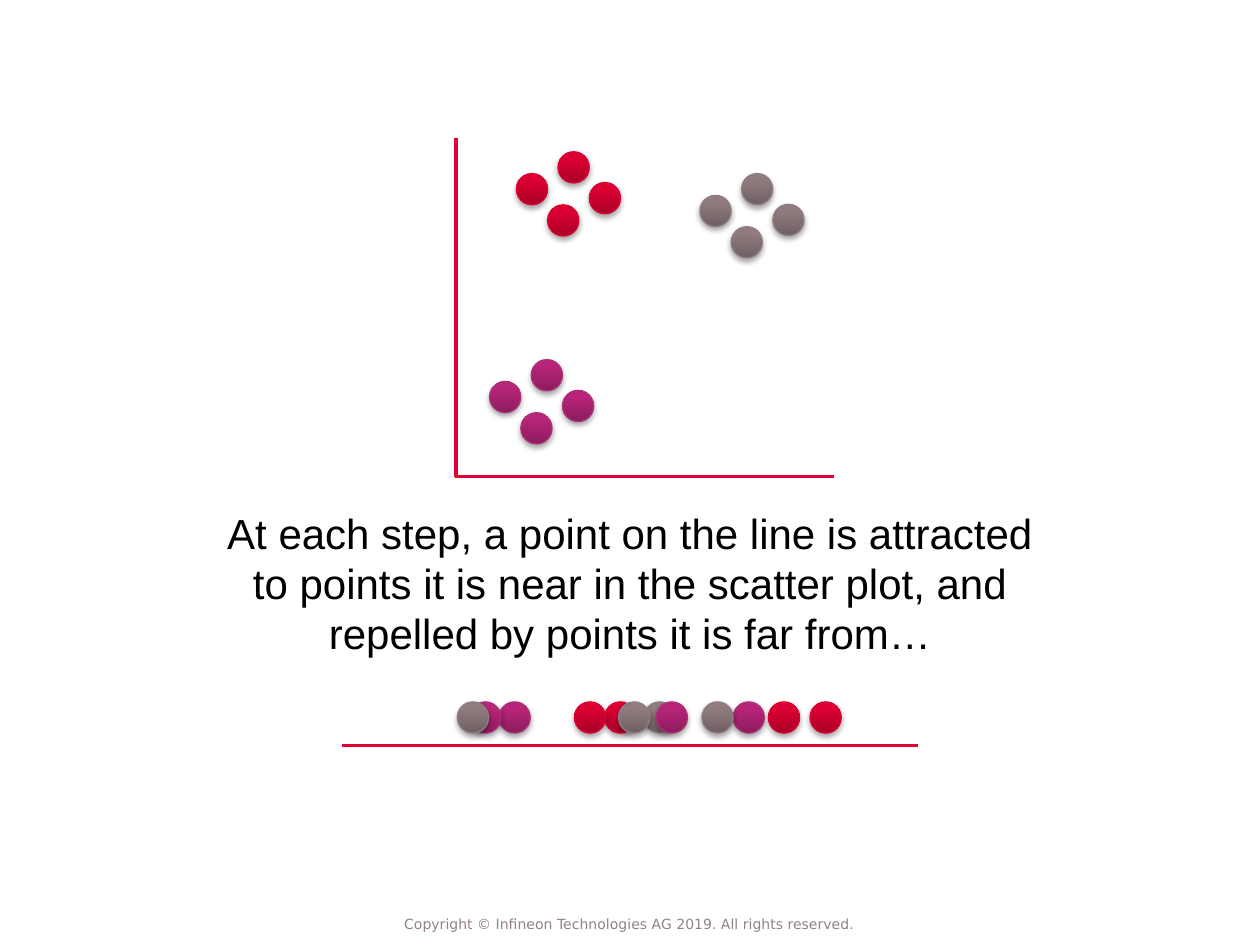
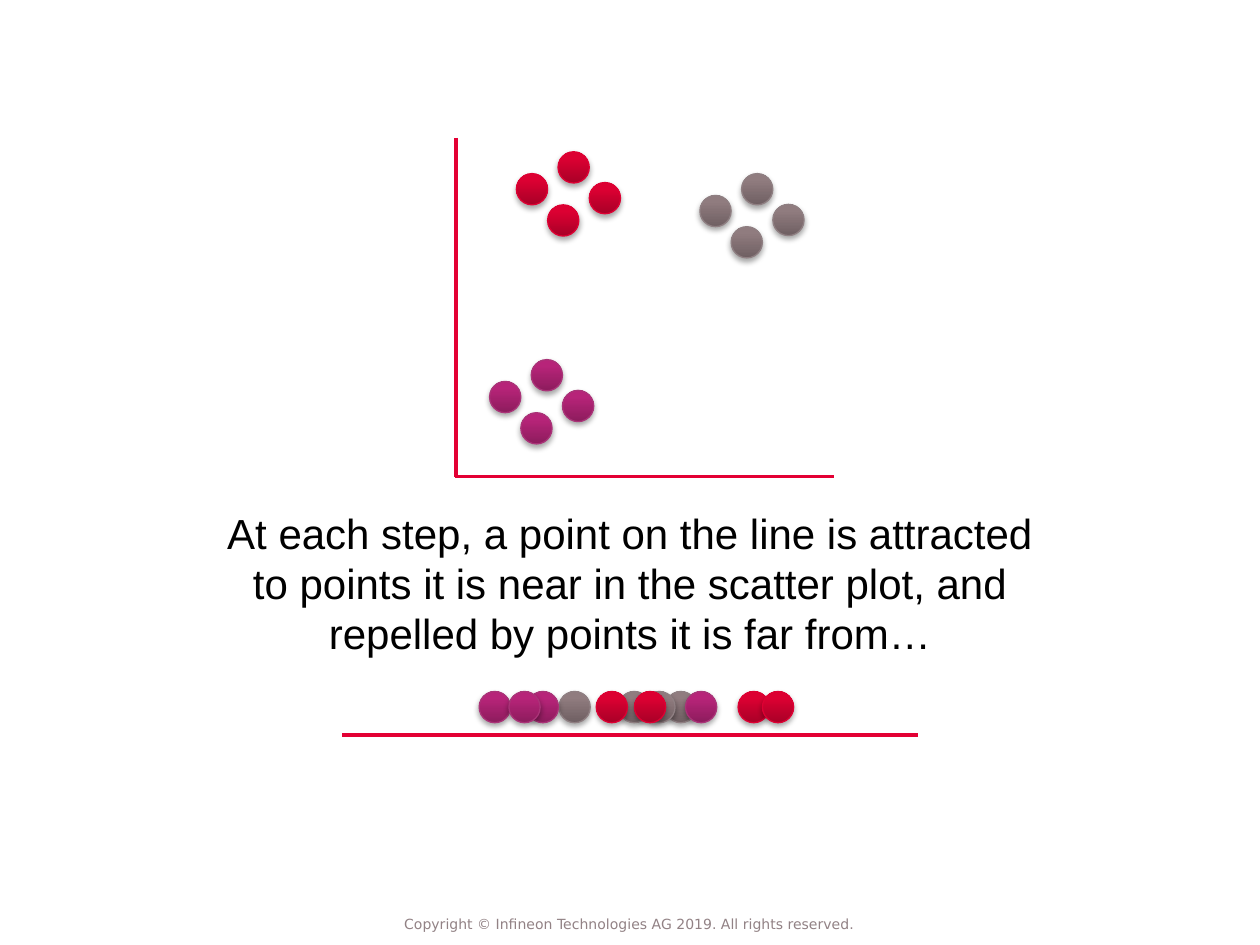
import pptx
import pptx.util
import pptx.oxml
import pptx.oxml.ns
import pptx.dml.color
import pptx.enum.shapes
import pptx.enum.text
from pptx.util import Cm

COLORS = {
    "axis": "E30034",
    "text": "000000",
    "footer": "928285",
}
DOTS = {
    "red": {"stops": ("A90027", "DC0032", "DD0033"), "line": "DE0033"},
    "purple": {"stops": ("8D1C5D", "B72479", "BA227A"), "line": "AA3378"},
    "grey": {"stops": ("6F5F62", "907C7F", "917C80"), "line": "8F7F82"},
}
STOP_POSITIONS = (0, 80000, 100000)
DOT_SIZE = 0.63
DOT_RISE = 0.88
CLUSTER_OFFSETS = ((0, 0.44), (0.84, 0), (0.63, 1.07), (1.47, 0.62))
CLUSTERS = (("red", 10.41, 3.06), ("purple", 9.87, 7.25), ("grey", 14.11, 3.5))
CAPTION = ("At each step, a point on the line is attracted to points it is near "
           "in the scatter plot, and repelled by points it is far from…")
COPYRIGHT = "Copyright © Infineon Technologies AG 2019. All rights reserved."

STEPS = (
    (15.03, (("red", 12.19), ("red", 15.49), ("purple", 10.06), ("purple", 9.47),
             ("red", 16.33), ("purple", 14.78), ("grey", 14.15), ("grey", 12.98),
             ("grey", 12.47), ("grey", 9.22), ("red", 11.58), ("purple", 13.23))),
    (14.82, (("red", 14.88), ("purple", 9.66), ("red", 15.37), ("grey", 13.41),
             ("grey", 12.98), ("grey", 12.47), ("grey", 11.27), ("red", 12.02),
             ("purple", 10.63), ("purple", 10.26), ("red", 12.79), ("purple", 13.82))),
)


def rgb(value):
    return pptx.dml.color.RGBColor.from_string(value)


def drawing(tag, body):
    ns = pptx.oxml.ns.nsdecls("a")
    return pptx.oxml.parse_xml(f"<a:{tag} {ns}>{body}</a:{tag}>")


class Deck:
    def __init__(self):
        self.prs = pptx.Presentation()
        self.prs.slide_width = Cm(25.4)
        self.prs.slide_height = Cm(19.05)
        self.s = None

    def new_slide(self):
        self.s = self.prs.slides.add_slide(self.prs.slide_layouts[6])

    def dot(self, shapes, color, x, y):
        style = DOTS[color]
        sp = shapes.add_shape(pptx.enum.shapes.MSO_SHAPE.OVAL,
                              Cm(x), Cm(y), Cm(DOT_SIZE), Cm(DOT_SIZE))
        sp.line.color.rgb = rgb(style["line"])
        sp.line.width = pptx.util.Pt(0.75)
        stops = "".join(f'<a:gs pos="{pos}"><a:srgbClr val="{value}"/></a:gs>'
                        for pos, value in zip(STOP_POSITIONS, style["stops"]))
        props = sp._element.spPr
        props.insert(2, drawing("gradFill", f"<a:gsLst>{stops}</a:gsLst>"
                                            '<a:lin ang="16200000" scaled="0"/>'))
        props.append(drawing("effectLst",
                             '<a:outerShdw blurRad="40000" dist="23000" dir="5400000" '
                             'rotWithShape="0"><a:srgbClr val="000000">'
                             '<a:alpha val="35000"/></a:srgbClr></a:outerShdw>'))

    def cluster(self, color, x, y):
        group = self.s.shapes.add_group_shape()
        for dx, dy in CLUSTER_OFFSETS:
            self.dot(group.shapes, color, x + dx, y + dy)

    def line(self, x1, y1, x2, y2):
        c = self.s.shapes.add_connector(pptx.enum.shapes.MSO_CONNECTOR.STRAIGHT,
                                        Cm(x1), Cm(y1), Cm(x2), Cm(y2))
        c.line.color.rgb = rgb(COLORS["axis"])
        c.line.width = pptx.util.Pt(2)
        c._element.spPr.append(drawing("effectLst", ""))

    def text(self, text, x, y, w, h, font, size, color):
        tf = self.s.shapes.add_textbox(Cm(x), Cm(y), Cm(w), Cm(h)).text_frame
        tf.word_wrap = True
        p = tf.paragraphs[0]
        p.text = text
        p.alignment = pptx.enum.text.PP_ALIGN.CENTER
        p.font.name = font
        p.font.size = pptx.util.Pt(size)
        p.font.color.rgb = rgb(COLORS[color])
        return tf

    def caption(self):
        tf = self.text(CAPTION, 3.99, 10.1, 17.42, 3.3, "Arial", 24, "text")
        tf.auto_size = pptx.enum.text.MSO_AUTO_SIZE.SHAPE_TO_FIT_TEXT

    def footer(self):
        tf = self.text(COPYRIGHT, 7.69, 18.21, 10, 0.84, "DejaVu Sans", 8, "footer")
        tf.vertical_anchor = pptx.enum.text.MSO_ANCHOR.MIDDLE
        tf.margin_left = tf.margin_right = tf.margin_top = tf.margin_bottom = 0

    def step(self, line_y, row):
        self.new_slide()
        for color, x, y in CLUSTERS:
            self.cluster(color, x, y)
        self.line(16.81, 9.61, 9.17, 9.61)
        self.line(9.19, 2.78, 9.19, 9.61)
        self.line(18.5, line_y, 6.9, line_y)
        for color, x in row:
            self.dot(self.s.shapes, color, x, line_y - DOT_RISE)
        self.caption()
        self.footer()


def main():
    deck = Deck()
    for line_y, row in STEPS:
        deck.step(line_y, row)
    deck.prs.save("out.pptx")


if __name__ == "__main__":
    main()
